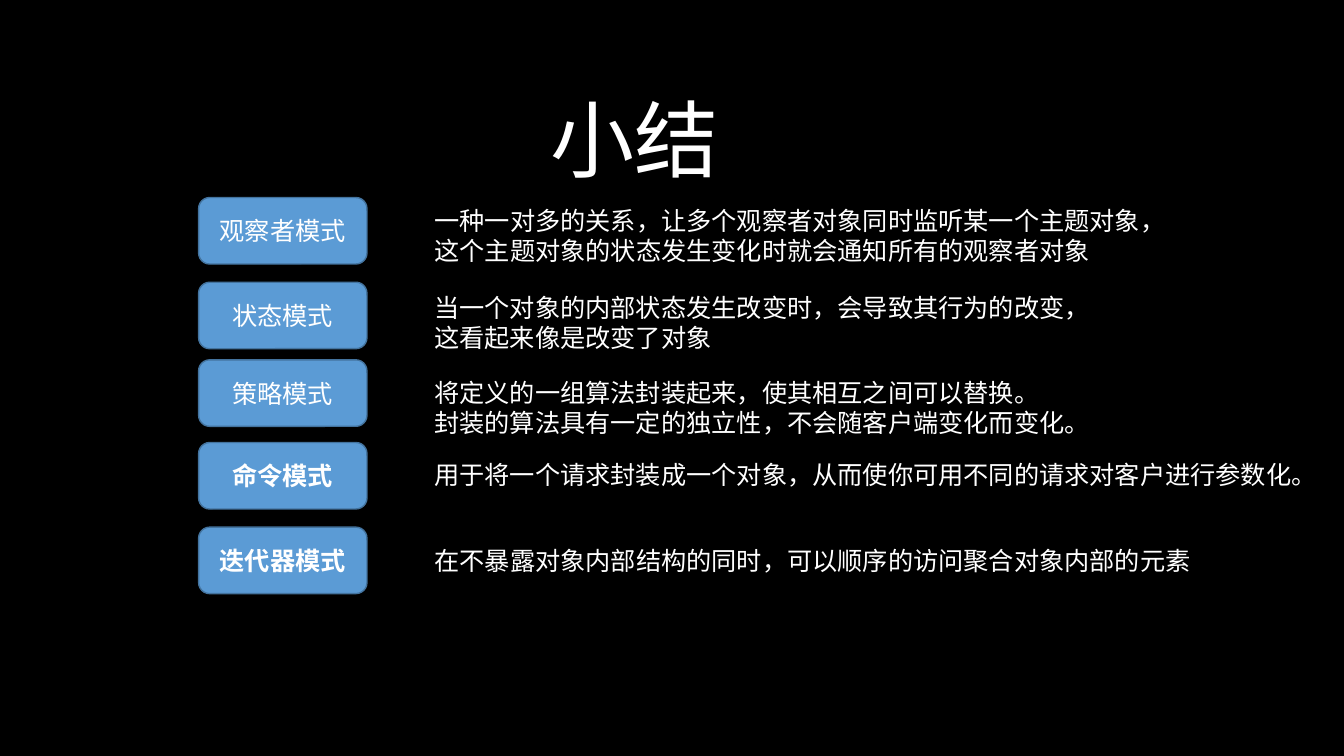
from pptx import Presentation
from pptx.dml.color import RGBColor
from pptx.enum.shapes import MSO_SHAPE
from pptx.enum.text import MSO_ANCHOR, MSO_AUTO_SIZE, PP_ALIGN
from pptx.util import Inches, Pt

FONT = "Calibri"
WHITE, BLACK = "FFFFFF", "000000"
BLUE, DARK_BLUE = "5B9BD5", "43739E"

LABEL_LEFT, LABEL_WIDTH, LABEL_HEIGHT = 1.97, 1.67, 0.66
NOTE_LEFT = 4.21

# name, label top, bold, note top, note width, note lines
PATTERNS = [
    ("观察者模式", 1.96, False, 1.99, 7.52,
     ["一种一对多的关系，让多个观察者对象同时监听某一个主题对象，",
      "这个主题对象的状态发生变化时就会通知所有的观察者对象"]),
    ("状态模式", 2.8, False, 2.85, 6.77,
     ["当一个对象的内部状态发生改变时，会导致其行为的改变，",
      "这看起来像是改变了对象"]),
    ("策略模式", 3.57, False, 3.69, 6.77,
     ["将定义的一组算法封装起来，使其相互之间可以替换。",
      "封装的算法具有一定的独立性，不会随客户端变化而变化。"]),
    ("命令模式", 4.39, True, 4.51, 9.04,
     ["用于将一个请求封装成一个对象，从而使你可用不同的请求对客户进行参数化。"]),
    ("迭代器模式", 5.23, True, 5.36, 7.78,
     ["在不暴露对象内部结构的同时，可以顺序的访问聚合对象内部的元素"]),
]


def rgb(code):
    """Turn a hex string into a colour."""
    return RGBColor.from_string(code)


def write(tf, lines, size=18, bold=False, color=WHITE, align=PP_ALIGN.LEFT):
    """Write each line as one formatted paragraph."""
    for i, line in enumerate(lines):
        p = tf.add_paragraph() if i else tf.paragraphs[0]
        p.alignment = align
        r = p.add_run()
        r.text = line
        r.font.name = FONT
        r.font.size = Pt(size)
        r.font.bold = bold
        r.font.color.rgb = rgb(color)


def add_text(s, left, top, width, height, lines, wrap=False, **fmt):
    """Add a text box that grows with its text."""
    box = s.shapes.add_textbox(*map(Inches, (left, top, width, height)))
    tf = box.text_frame
    tf.word_wrap = wrap
    tf.auto_size = MSO_AUTO_SIZE.SHAPE_TO_FIT_TEXT
    write(tf, lines, **fmt)


def add_label(s, top, name, bold):
    """Add a rounded label with the name of a pattern."""
    sp = s.shapes.add_shape(
        MSO_SHAPE.ROUNDED_RECTANGLE,
        *map(Inches, (LABEL_LEFT, top, LABEL_WIDTH, LABEL_HEIGHT)))
    sp.shadow.inherit = False
    sp.fill.solid()
    sp.fill.fore_color.rgb = rgb(BLUE)
    sp.line.color.rgb = rgb(DARK_BLUE)
    sp.line.width = Pt(1)
    tf = sp.text_frame
    tf.word_wrap = True
    tf.vertical_anchor = MSO_ANCHOR.MIDDLE
    write(tf, [name], bold=bold, align=PP_ALIGN.CENTER)


def main():
    """Build the summary slide and save it."""
    prs = Presentation()
    prs.slide_width, prs.slide_height = Inches(13.33), Inches(7.5)
    s = prs.slides.add_slide(prs.slide_layouts[6])
    s.background.fill.solid()
    s.background.fill.fore_color.rgb = rgb(BLACK)

    add_text(s, -0.34, 0.82, 13.26, 1.11, ["小结"], wrap=True,
             size=60, align=PP_ALIGN.CENTER)
    for name, label_top, bold, note_top, note_width, lines in PATTERNS:
        add_label(s, label_top, name, bold)
        note_height = 0.1 + 0.3 * len(lines)
        add_text(s, NOTE_LEFT, note_top, note_width, note_height, lines)

    prs.save("out.pptx")


main()
